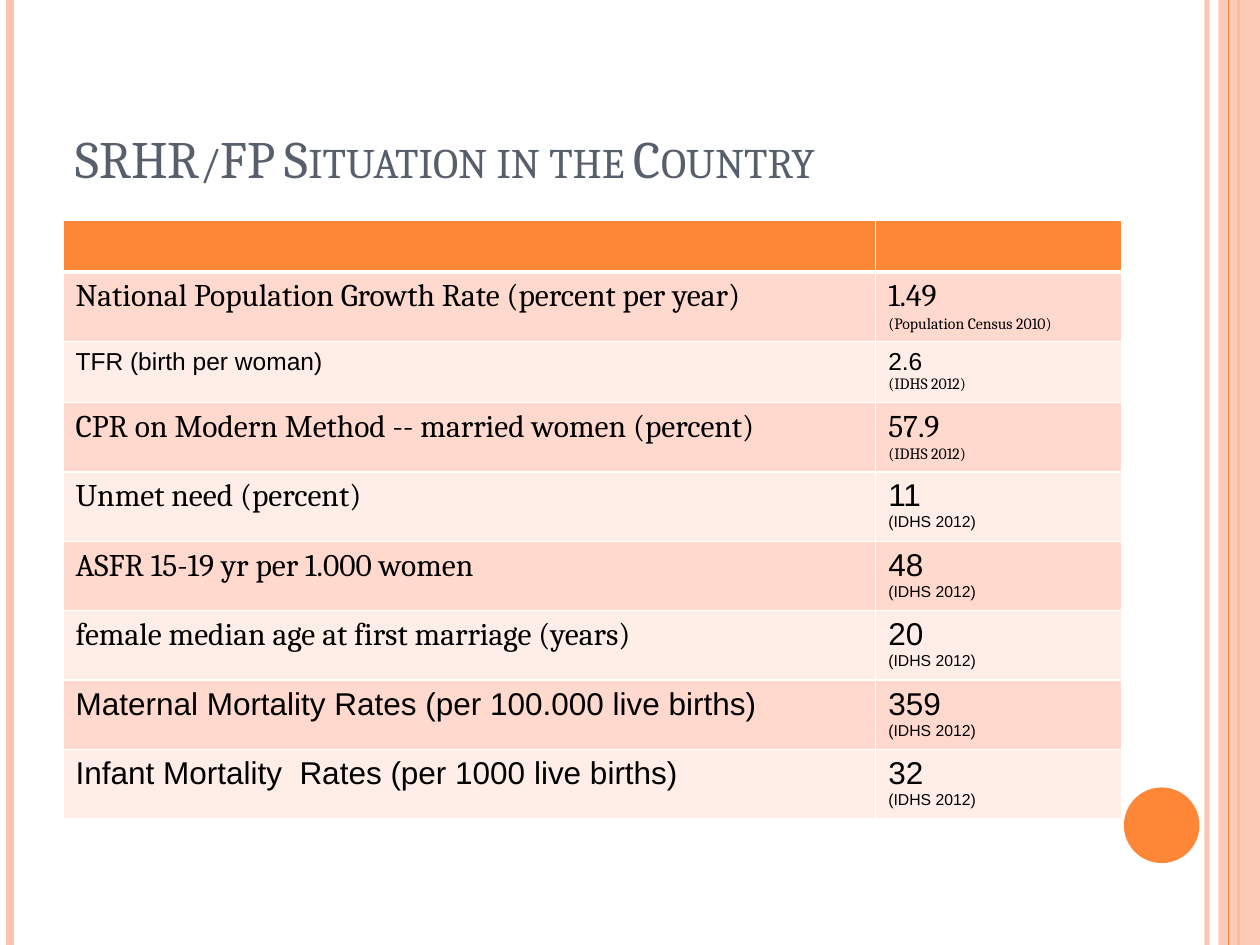
"""Build the SRHR/FP country situation slide with its indicator table."""
from dataclasses import dataclass

from lxml import etree
from pptx import Presentation
from pptx.dml.color import RGBColor
from pptx.enum.shapes import MSO_CONNECTOR as Connector, MSO_SHAPE as Shape
from pptx.enum.text import MSO_ANCHOR as Anchor
from pptx.oxml.ns import qn
from pptx.util import Inches, Pt


@dataclass(frozen=True)
class Theme:
    orange: str = "FE8637"
    peach: str = "FEC3AE"
    slate: str = "575F6D"
    black: str = "000000"
    white: str = "FFFFFF"
    bands: tuple = ("FFD9CE", "FFEDE8")
    serif: str = "Cambria"
    sans: str = "Arial"
    title_size: int = 30
    body_size: int = 18
    small_size: int = 14
    source_size: int = 9


THEME = Theme()
SERIF, SANS = THEME.serif, THEME.sans
BODY, SMALL = THEME.body_size, THEME.small_size
SURVEY = "(IDHS 2012)"
COLUMN_WIDTHS = (6.45, 1.95)
HEADER_HEIGHT = 0.41
ROW_HEIGHTS = {BODY: 0.55, SMALL: 0.48}

# label, value, source, size, then the fonts of those three texts
INDICATORS = [
    ("National Population Growth Rate (percent per year)", "1.49",
     "(Population Census 2010)", BODY, SERIF, SERIF, SERIF),
    ("TFR (birth per woman)", "2.6", SURVEY, SMALL, SANS, SANS, SERIF),
    ("CPR on Modern Method -- married women (percent)", "57.9", SURVEY,
     BODY, SERIF, SERIF, SERIF),
    ("Unmet need (percent)", "11", SURVEY, BODY, SERIF, SANS, SANS),
    ("ASFR 15-19 yr per 1.000 women", "48", SURVEY, BODY, SERIF, SANS, SANS),
    ("female median age at first marriage (years)", "20", SURVEY,
     BODY, SERIF, SANS, SANS),
    ("Maternal Mortality Rates (per 100.000 live births)", "359", SURVEY,
     BODY, SANS, SANS, SANS),
    ("Infant Mortality  Rates (per 1000 live births)", "32", SURVEY,
     BODY, SANS, SANS, SANS),
]


def rgb(color):
    """Turn a hex string into a colour."""
    return RGBColor.from_string(color)


def set_opacity(element, percent):
    """Make the solid colour inside an element partly transparent."""
    color = next(element.iter(qn("a:srgbClr")))
    etree.SubElement(color, qn("a:alpha")).set("val", str(percent * 1000))


def add_stripe(slide, x, color, width, opacity=100):
    """Draw a vertical line over the whole slide height."""
    line = slide.shapes.add_connector(
        Connector.STRAIGHT, Inches(x), 0, Inches(x), Inches(7.5))
    line.line.color.rgb = rgb(color)
    line.line.width = Pt(width)
    if opacity < 100:
        set_opacity(line.line._get_or_add_ln(), opacity)
    etree.SubElement(line._element.spPr, qn("a:effectLst"))


def add_block(slide, preset, left, top, width, height, color, opacity=100):
    """Draw a filled shape without outline."""
    shape = slide.shapes.add_shape(
        preset, Inches(left), Inches(top), Inches(width), Inches(height))
    shape.shadow.inherit = False
    shape.fill.solid()
    shape.fill.fore_color.rgb = rgb(color)
    shape.line.fill.background()
    if opacity < 100:
        set_opacity(shape._element.spPr, opacity)


def write(paragraph, text, size, font, color=THEME.black):
    """Fill a paragraph with one run and style it."""
    run = paragraph.add_run()
    run.text = text
    paragraph.font.size = Pt(size)
    paragraph.font.name = font
    paragraph.font.color.rgb = rgb(color)
    return run


def add_title(slide, text):
    """Place the small-caps title at the bottom of its box."""
    box = slide.shapes.add_textbox(
        Inches(0.5), Inches(0.3), Inches(8.17), Inches(1.25))
    frame = box.text_frame
    frame.word_wrap = True
    frame.vertical_anchor = Anchor.BOTTOM
    run = write(frame.paragraphs[0], text, THEME.title_size, SERIF, THEME.slate)
    run._r.get_or_add_rPr().set("cap", "small")


def style_cell(cell, color, top=1, bottom=1):
    """Give a cell white borders and a fill."""
    properties = cell._tc.get_or_add_tcPr()
    for side, width in (("L", 1), ("R", 1), ("T", top), ("B", bottom)):
        border = etree.SubElement(
            properties, qn(f"a:ln{side}"), w=str(Pt(width)))
        fill = etree.SubElement(border, qn("a:solidFill"))
        etree.SubElement(fill, qn("a:srgbClr"), val=THEME.white)
    cell.fill.solid()
    cell.fill.fore_color.rgb = rgb(color)


def add_indicator_table(slide):
    """Build the table of indicators with a blank header row."""
    heights = [HEADER_HEIGHT] + [ROW_HEIGHTS[row[3]] for row in INDICATORS]
    table = slide.shapes.add_table(
        len(heights), len(COLUMN_WIDTHS), Inches(0.5), Inches(1.75),
        Inches(sum(COLUMN_WIDTHS)), Inches(sum(heights))).table
    for column, width in zip(table.columns, COLUMN_WIDTHS):
        column.width = Inches(width)
    for row, height in zip(table.rows, heights):
        row.height = Inches(height)
    for cell in table.rows[0].cells:
        style_cell(cell, THEME.orange, bottom=3)
    for index, indicator in enumerate(INDICATORS):
        label, value, source, size, label_font, value_font, source_font = indicator
        label_cell, value_cell = table.rows[index + 1].cells
        for cell in (label_cell, value_cell):
            style_cell(cell, THEME.bands[index % 2], top=1 if index else 3)
        write(label_cell.text_frame.paragraphs[0], label, size, label_font)
        frame = value_cell.text_frame
        write(frame.paragraphs[0], value, size, value_font)
        write(frame.add_paragraph(), source, THEME.source_size, source_font)


def main():
    """Assemble and save the slide."""
    presentation = Presentation()
    presentation.slide_width = Inches(10)
    presentation.slide_height = Inches(7.5)
    slide = presentation.slides.add_slide(presentation.slide_layouts[6])
    add_stripe(slide, 9.58, THEME.peach, 3, opacity=93)
    add_stripe(slide, 0.08, THEME.peach, 4.5)
    add_stripe(slide, 9.83, THEME.orange, 1.5)
    add_block(slide, Shape.RECTANGLE, 9.67, 0, 0.33, 7.5, THEME.peach, opacity=87)
    add_stripe(slide, 9.75, THEME.orange, 0.75)
    add_block(slide, Shape.OVAL, 8.92, 6.25, 0.6, 0.6, THEME.orange)
    add_title(slide, "SRHR/FP Situation in the Country")
    add_indicator_table(slide)
    presentation.save("out.pptx")


if __name__ == "__main__":
    main()
